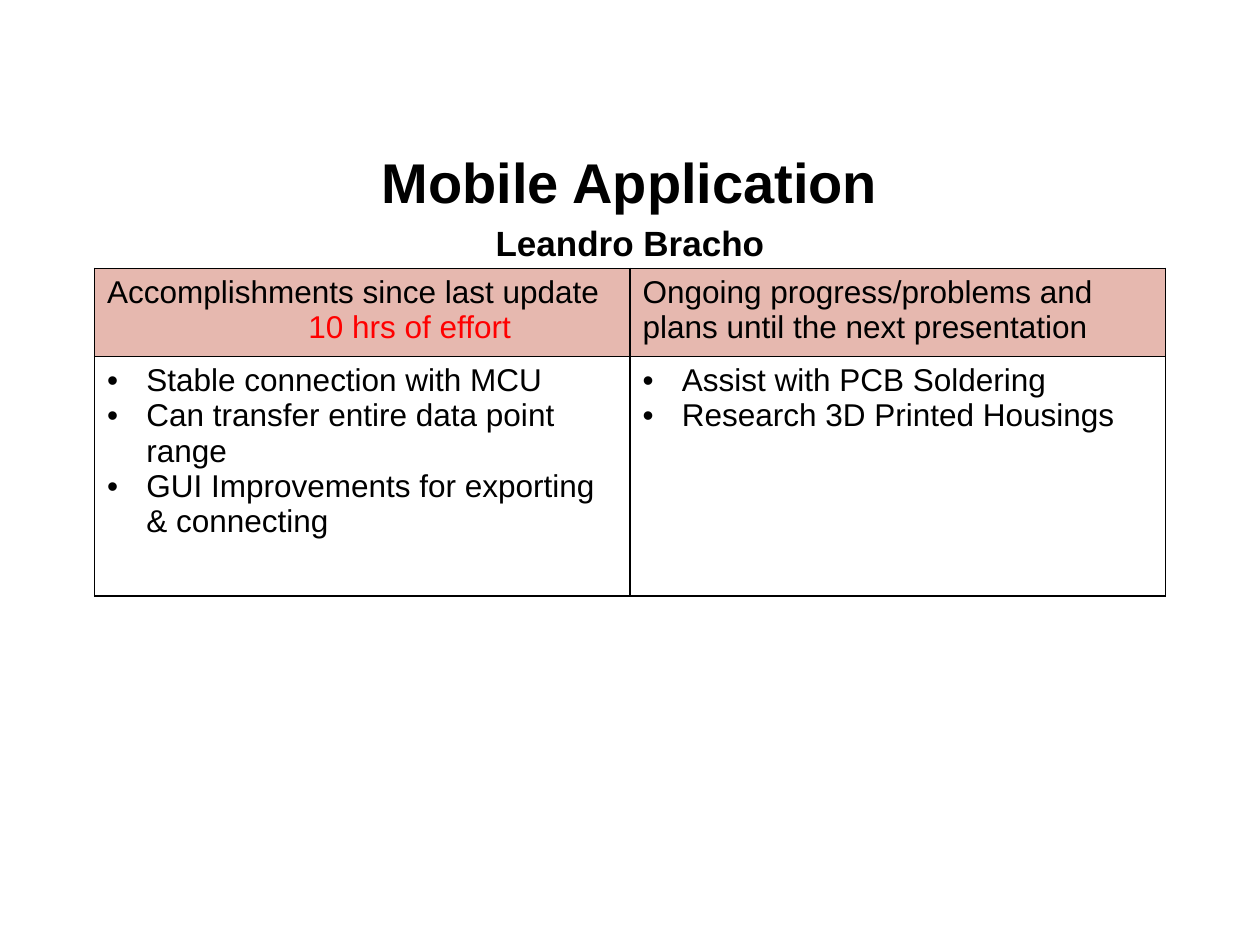
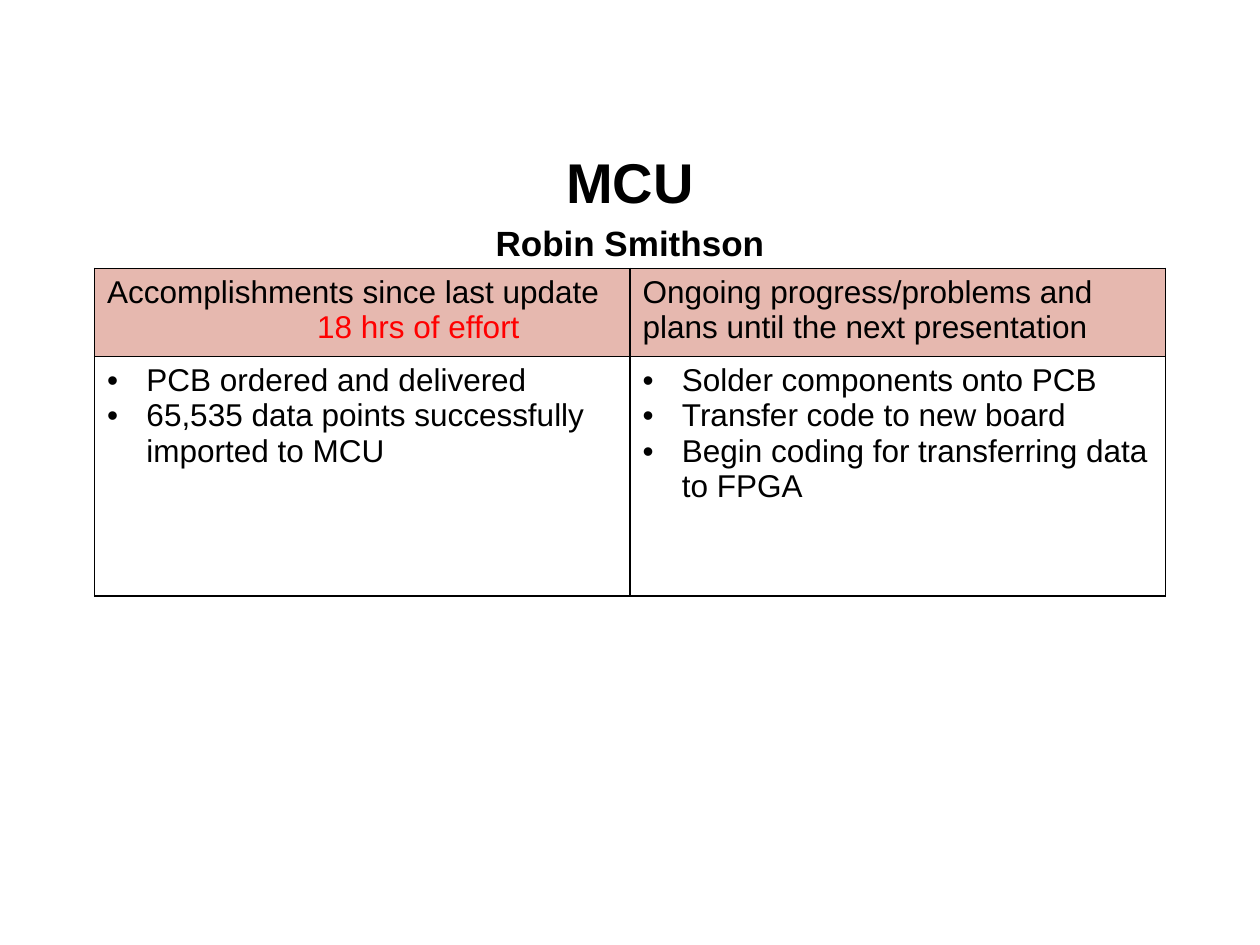
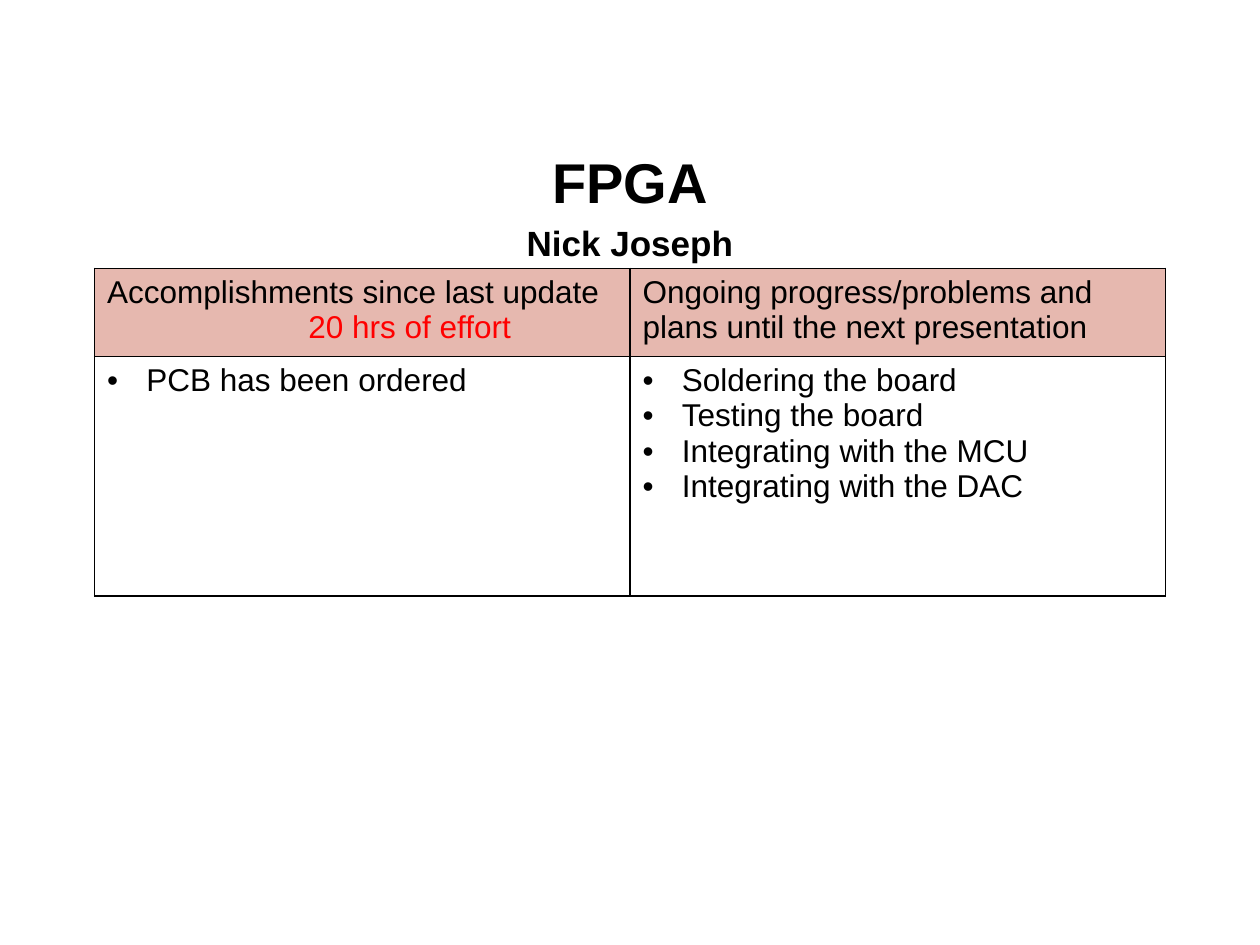
from lxml.etree import SubElement
from pptx import Presentation
from pptx.dml.color import RGBColor
from pptx.enum.text import MSO_ANCHOR as Anchor, MSO_AUTO_SIZE as AutoSize, PP_ALIGN as Align
from pptx.oxml.ns import qn
from pptx.util import Pt

# Shared style
FONT = "Arial"
BLACK, RED, HEADER_FILL = "000000", "FF0000", "E6B8AF"
TITLE_SIZE, NAME_SIZE, TABLE_SIZE = 32, 20, 18
BULLET_INDENT = 22.5
PLAIN_STYLE = "{2D5ABB26-0587-4C30-8999-92F81FD0307C}"

# Boxes: left, top, width, height
TITLE_BOX = (36, 82.8, 648, 63.4)
TABLE_BOX = (54, 153.4, 612, 187.2)
HEADER_HEIGHT = 50.4

DONE_HEADING = "Accomplishments since last update"
PLANS_HEADING = "Ongoing progress/problems and plans until the next presentation"

# Topic, member, effort, indent of the effort line, done, plans
UPDATES = [
    ("Mobile Application", "Leandro Bracho", "10 hrs of effort", 115,
     ["Stable connection with MCU",
      "Can transfer entire data point range",
      "GUI Improvements for exporting & connecting"],
     ["Assist with PCB Soldering",
      "Research 3D Printed Housings"]),
    ("MCU", "Robin Smithson", "18 hrs of effort", 120,
     ["PCB ordered and delivered",
      "65,535 data points successfully imported to MCU"],
     ["Solder components onto PCB",
      "Transfer code to new board",
      "Begin coding for transferring data to FPGA"]),
    ("FPGA", "Nick Joseph", "20 hrs of effort", 115,
     ["PCB has been ordered"],
     ["Soldering the board",
      "Testing the board",
      "Integrating with the MCU",
      "Integrating with the DAC"]),
]


def color(hex_text):
    return RGBColor.from_string(hex_text)


def add_span(para, text, size, hex_text=BLACK, bold=False):
    span = para.add_run()
    span.text = text
    span.font.name = FONT
    span.font.size = Pt(size)
    span.font.bold = bold
    span.font.color.rgb = color(hex_text)


def next_para(frame, index):
    return frame.add_paragraph() if index else frame.paragraphs[0]


def indent_para(para, left, first=0):
    props = para._p.get_or_add_pPr()
    props.set("marL", str(Pt(left)))
    props.set("indent", str(Pt(first)))
    return props


def set_borders(cell):
    props = cell._tc.get_or_add_tcPr()
    for side in ("lnL", "lnR", "lnT", "lnB"):
        line = SubElement(props, qn(f"a:{side}"), w=str(Pt(1)))
        fill = SubElement(line, qn("a:solidFill"))
        SubElement(fill, qn("a:srgbClr"), val=BLACK)


def fill_title(page, box, topic, member):
    title = page.shapes.title
    title.left, title.top, title.width, title.height = map(Pt, box)
    frame = title.text_frame
    frame.word_wrap = True
    frame.auto_size = AutoSize.NONE
    frame.vertical_anchor = Anchor.MIDDLE
    para = frame.paragraphs[0]
    para.alignment = Align.CENTER
    para.line_spacing = 1.15
    add_span(para, topic, TITLE_SIZE, bold=True)
    para.add_line_break()
    add_span(para, member, NAME_SIZE, bold=True)


def add_bullets(cell, items):
    for index, item in enumerate(items):
        para = next_para(cell.text_frame, index)
        props = indent_para(para, BULLET_INDENT, -BULLET_INDENT)
        SubElement(props, qn("a:buFont"), typeface=FONT)
        SubElement(props, qn("a:buChar"), char="•")
        add_span(para, item, TABLE_SIZE)


def add_update_table(page, box, effort, effort_indent, done, plans):
    holder = page.shapes.add_table(2, 2, *map(Pt, box))
    holder._element.find(".//" + qn("a:tableStyleId")).text = PLAIN_STYLE
    table = holder.table
    table.first_row = table.horz_banding = False
    table.rows[0].height = Pt(HEADER_HEIGHT)
    table.rows[1].height = Pt(box[3] - HEADER_HEIGHT)

    for cell in table.iter_cells():
        set_borders(cell)

    # Header row
    for column, heading in enumerate((DONE_HEADING, PLANS_HEADING)):
        cell = table.cell(0, column)
        cell.fill.solid()
        cell.fill.fore_color.rgb = color(HEADER_FILL)
        add_span(cell.text_frame.paragraphs[0], heading, TABLE_SIZE)
    effort_para = table.cell(0, 0).text_frame.add_paragraph()
    indent_para(effort_para, effort_indent)
    add_span(effort_para, effort, TABLE_SIZE, RED)

    # Body row
    for column, items in enumerate((done, plans)):
        cell = table.cell(1, column)
        cell.fill.background()
        add_bullets(cell, items)


def main():
    deck = Presentation()
    deck.slide_width, deck.slide_height = Pt(720), Pt(540)
    title_only = deck.slide_layouts[5]
    for topic, member, *details in UPDATES:
        page = deck.slides.add_slide(title_only)
        fill_title(page, TITLE_BOX, topic, member)
        add_update_table(page, TABLE_BOX, *details)
    deck.save("out.pptx")


if __name__ == "__main__":
    main()
